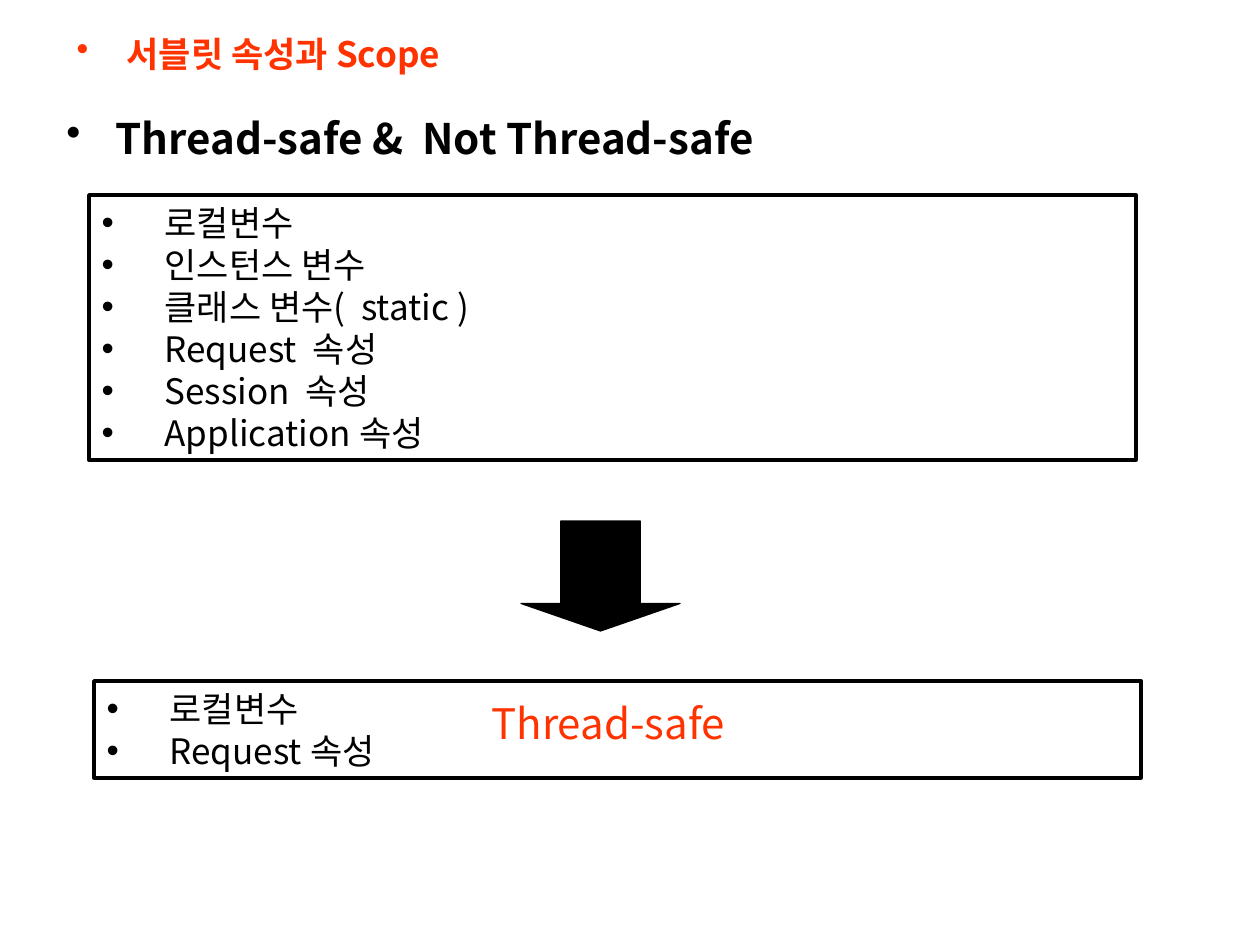
"""Build the slide on servlet attributes, scope and thread safety."""
from lxml.etree import SubElement
from pptx import Presentation
from pptx.dml.color import RGBColor
from pptx.enum.shapes import MSO_SHAPE
from pptx.enum.text import MSO_ANCHOR, MSO_AUTO_SIZE, PP_ALIGN
from pptx.oxml.ns import qn
from pptx.util import Inches, Pt

PX = 914400 / 126
FONT = "Noto Sans CJK KR"
RED, BLACK = "FF3300", "000000"


def paint(color, code):
    color.rgb = RGBColor.from_string(code)


def write(shape, box, lines, size, code, bold=False, indent=0):
    shape.left, shape.top, shape.width, shape.height = [round(n * PX) for n in box]
    frame = shape.text_frame
    frame.text = "\n".join(lines)
    frame.word_wrap = True
    frame.auto_size = MSO_AUTO_SIZE.NONE
    frame.vertical_anchor = MSO_ANCHOR.TOP
    for para in frame.paragraphs:
        para.alignment = PP_ALIGN.LEFT
        para.space_before = Pt(0)
        para.line_spacing = Pt(size * 1.2)
        if indent:
            props = para._p.get_or_add_pPr()
            props.set("marL", str(round(indent * PX)))
            props.set("indent", str(round(-indent * PX)))
            SubElement(props, qn("a:buChar"), char="•")
        for run in para.runs:
            font = run.font
            font.name, font.size, font.bold = FONT, Pt(size), bold
            paint(font.color, code)
            SubElement(font._element, qn("a:ea"), typeface=FONT)


deck = Presentation()
deck.slide_width, deck.slide_height = Inches(10), Inches(7.5)
slide = deck.slides.add_slide(deck.slide_layouts[3])
shapes = slide.shapes
title, scopes, safe = slide.placeholders

write(title, (64, 26, 1062, 125), ["서블릿 속성과 Scope"], 20, RED, True, 50)
head = shapes.add_textbox(0, 0, 0, 0)
write(head, (54, 106, 1111, 63), ["Thread-safe &  Not Thread-safe"], 24, BLACK, True, 49)

kinds = ["로컬변수", "인스턴스 변수", "클래스 변수(  static )",
         "Request  속성", "Session  속성", "Application 속성"]
write(scopes, (89, 195, 1047, 265), kinds, 20, BLACK, indent=63)
write(safe, (94, 681, 1047, 97), ["로컬변수", "Request 속성"], 20, BLACK, indent=63)
for frame in (scopes, safe):
    paint(frame.line.color, BLACK)
    frame.line.width = Pt(2)

arrow = shapes.add_shape(MSO_SHAPE.DOWN_ARROW, *[round(n * PX) for n in (521, 521, 159, 110)])
arrow.adjustments[0], arrow.adjustments[1] = 0.5, 0.25
arrow.shadow.inherit = False
arrow.fill.solid()
paint(arrow.fill.fore_color, BLACK)
paint(arrow.line.color, BLACK)
arrow.line.width = Pt(0.75)

label = shapes.add_textbox(0, 0, 0, 0)
write(label, (479, 691, 262, 63), ["Thread-safe"], 24, RED)

deck.save("out.pptx")
